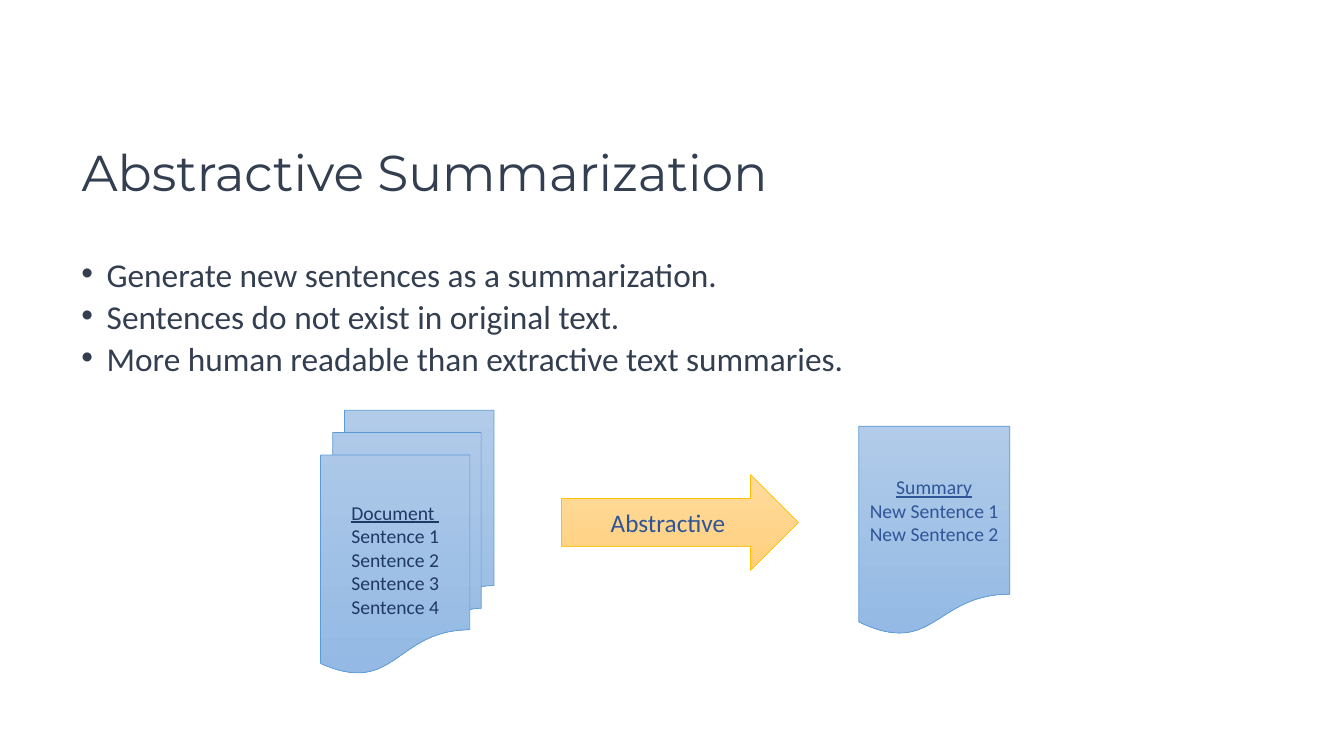
from lxml.etree import SubElement
from pptx import Presentation
from pptx.dml.color import RGBColor
from pptx.enum.shapes import MSO_SHAPE
from pptx.enum.text import MSO_ANCHOR, PP_ALIGN
from pptx.oxml.ns import qn
from pptx.util import Cm, Pt

SLATE = RGBColor(0x33, 0x3F, 0x50)
NAVY = RGBColor(0x20, 0x38, 0x64)
BLUE = RGBColor(0x2F, 0x55, 0x97)
SKY_LINE = RGBColor(0x5B, 0x9B, 0xD5)
SKY_FILL = (RGBColor(0xB1, 0xCB, 0xE9), RGBColor(0x93, 0xB9, 0xE4))
GOLD_LINE = RGBColor(0xFF, 0xC0, 0x00)
GOLD_FILL = (RGBColor(0xFF, 0xDB, 0x9E), RGBColor(0xFF, 0xD0, 0x7C))


class SlideBuilder:
    heading_font = "Montserrat"
    body_font = "Calibri"

    def __init__(self, presentation):
        self.slide = presentation.slides.add_slide(presentation.slide_layouts[5])

    def style(self, paragraph, font_name, size, color, align=PP_ALIGN.LEFT):
        paragraph.alignment = align
        for run in paragraph.runs:
            run.font.name = font_name
            run.font.size = Pt(size)
            run.font.color.rgb = color

    def title(self, text, left, top, width, height):
        heading = self.slide.shapes.title
        heading.left, heading.top = Cm(left), Cm(top)
        heading.width, heading.height = Cm(width), Cm(height)
        frame = heading.text_frame
        frame.text = text
        frame.vertical_anchor = MSO_ANCHOR.MIDDLE
        frame.paragraphs[0].line_spacing = 0.9
        self.style(frame.paragraphs[0], self.heading_font, 36, SLATE)

    def bullets(self, points, left, top, width, height):
        box = self.slide.shapes.add_textbox(Cm(left), Cm(top), Cm(width), Cm(height))
        frame = box.text_frame
        frame.word_wrap = True
        frame.text = "\n".join(points)
        for paragraph in frame.paragraphs:
            paragraph.line_spacing = 0.7
            paragraph.space_before = Pt(10)
            self.style(paragraph, self.body_font, 23.8, SLATE)
            properties = paragraph._p.get_or_add_pPr()
            properties.set("marL", str(Cm(0.64)))
            properties.set("indent", str(-Cm(0.64)))
            SubElement(properties, qn("a:buFont"), typeface="Arial")
            SubElement(properties, qn("a:buChar"), char="•")

    def block(self, preset, lines, left, top, width, height,
              fill, outline, color, size=14, underline_first=True):
        block = self.slide.shapes.add_shape(
            preset, Cm(left), Cm(top), Cm(width), Cm(height))
        block.shadow.inherit = False
        block.fill.gradient()
        block.fill.gradient_angle = 270
        for stop, stop_color, position in zip(block.fill.gradient_stops, fill, (0, 1)):
            stop.color.rgb = stop_color
            stop.position = position
        block.line.color.rgb = outline
        block.line.width = Pt(0.5)
        frame = block.text_frame
        frame.word_wrap = True
        frame.vertical_anchor = MSO_ANCHOR.MIDDLE
        frame.text = "\n".join(lines)
        for paragraph in frame.paragraphs:
            self.style(paragraph, self.body_font, size, color, PP_ALIGN.CENTER)
        frame.paragraphs[0].runs[0].font.underline = underline_first


def main():
    presentation = Presentation()
    presentation.slide_width, presentation.slide_height = Cm(33.87), Cm(19.05)
    builder = SlideBuilder(presentation)
    builder.title("Abstractive Summarization", 1.8, 2.08, 19.74, 4.65)
    builder.bullets(
        ["Generate new sentences as a summarization.",
         "Sentences do not exist in original text.",
         "More human readable than extractive text summaries."],
        1.8, 6.55, 29.21, 3.15)
    builder.block(
        MSO_SHAPE.FLOWCHART_MULTIDOCUMENT,
        ["Document "] + [f"Sentence {number}" for number in range(1, 5)],
        8.08, 10.34, 4.37, 6.63, SKY_FILL, SKY_LINE, NAVY)
    builder.block(
        MSO_SHAPE.RIGHT_ARROW, ["Abstractive"],
        14.15, 11.96, 5.97, 2.41, GOLD_FILL, GOLD_LINE, BLUE,
        size=18, underline_first=False)
    builder.block(
        MSO_SHAPE.FLOWCHART_DOCUMENT,
        ["Summary"] + [f"New Sentence {number}" for number in range(1, 3)],
        21.64, 10.74, 3.81, 5.28, SKY_FILL, SKY_LINE, BLUE)
    presentation.save("out.pptx")


if __name__ == "__main__":
    main()
